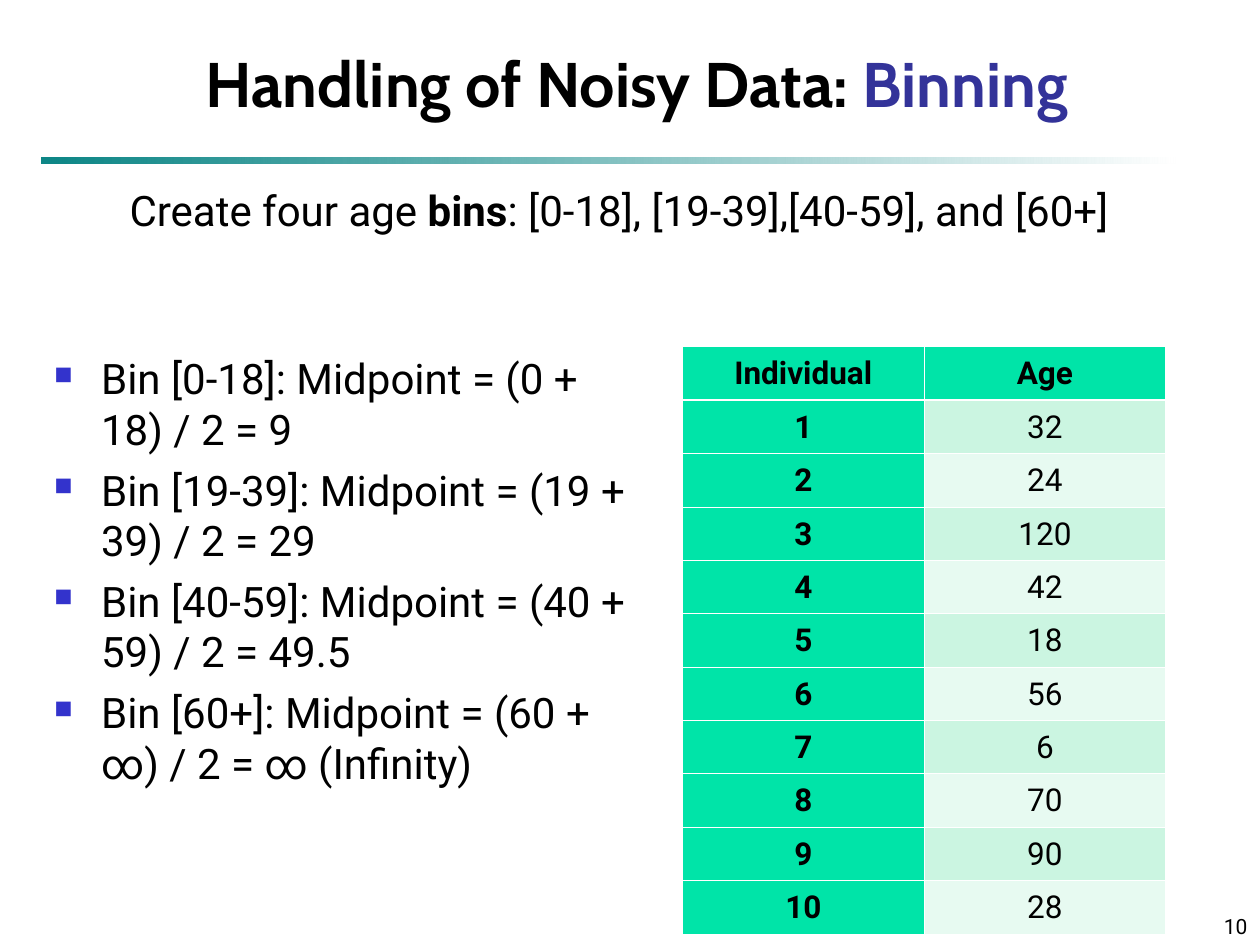
from lxml import etree
from pptx import Presentation
from pptx.dml.color import RGBColor
from pptx.enum.shapes import MSO_SHAPE
from pptx.enum.text import MSO_ANCHOR, MSO_AUTO_SIZE, PP_ALIGN
from pptx.oxml.ns import qn
from pptx.util import Cm, Pt

RECTANGLE = MSO_SHAPE.RECTANGLE
TOP, BOTTOM = MSO_ANCHOR.TOP, MSO_ANCHOR.BOTTOM
LEFT, CENTER, RIGHT = PP_ALIGN.LEFT, PP_ALIGN.CENTER, PP_ALIGN.RIGHT
NO_AUTOFIT = MSO_AUTO_SIZE.NONE

TITLE_FONT, BODY_FONT = "Cabin", "Roboto"
BLACK, WHITE, TEAL = "000000", "FFFFFF", "008080"
TITLE_BLUE, BULLET_BLUE = "333399", "3333CC"
KEY_GREEN, ROW_GREENS = "00E4A8", ("CBF5E1", "E7FAF1")

MIDPOINTS = [
    "Bin [0-18]: Midpoint = (0 + 18) / 2 = 9",
    "Bin [19-39]: Midpoint = (19 + 39) / 2 = 29",
    "Bin [40-59]: Midpoint = (40 + 59) / 2 = 49.5",
    "Bin [60+]: Midpoint = (60 + ∞) / 2 = ∞ (Infinity)",
]
AGES = [32, 24, 120, 42, 18, 56, 6, 70, 90, 28]


def rgb(value):
    return RGBColor.from_string(value)


def add_run(paragraph, text, size, bold=False, color=BLACK, font=BODY_FONT):
    run = paragraph.add_run()
    run.text = text
    run.font.name = font
    run.font.size = Pt(size)
    run.font.bold = bold
    run.font.color.rgb = rgb(color)


def add_text_box(slide, left, top, width, height, align=LEFT, anchor=TOP):
    """Add an empty wrapping text box and return its text frame."""
    box = slide.shapes.add_textbox(Cm(left), Cm(top), Cm(width), Cm(height))
    text_frame = box.text_frame
    text_frame.word_wrap = True
    text_frame.vertical_anchor = anchor
    text_frame.paragraphs[0].alignment = align
    return text_frame


def format_title(slide):
    title = slide.shapes.title
    title.left, title.top, title.width, title.height = Cm(0.89), Cm(0.84), Cm(23.88), Cm(1.7)
    text_frame = title.text_frame
    text_frame.auto_size = NO_AUTOFIT
    text_frame.vertical_anchor = BOTTOM
    paragraph = text_frame.paragraphs[0]
    paragraph.alignment = CENTER
    add_run(paragraph, "Handling of Noisy Data: ", 36, True, font=TITLE_FONT)
    add_run(paragraph, "Binning", 36, True, TITLE_BLUE, TITLE_FONT)


def add_fading_rule(slide):
    rule = slide.shapes.add_shape(RECTANGLE, Cm(0.84), Cm(3.17), Cm(22.86), Cm(0.13))
    rule.shadow.inherit = False
    rule.line.fill.background()
    rule.fill.gradient()
    rule.fill.gradient_angle = 0
    for stop, color in zip(rule.fill.gradient_stops, (TEAL, WHITE)):
        stop.color.rgb = rgb(color)
    first_color = rule._element.spPr.find(".//" + qn("a:srgbClr"))
    etree.SubElement(first_color, qn("a:alpha"), val="95000")


def set_bullet(paragraph):
    """Hang the paragraph behind a small coloured square."""
    properties = paragraph._p.get_or_add_pPr()
    properties.set("marL", str(Cm(0.95)))
    properties.set("indent", str(-Cm(0.95)))
    color = etree.SubElement(properties, qn("a:buClr"))
    etree.SubElement(color, qn("a:srgbClr"), val=BULLET_BLUE)
    etree.SubElement(properties, qn("a:buSzPct"), val="60000")
    etree.SubElement(properties, qn("a:buChar"), char="■")


def add_bullets(slide, items):
    text_frame = add_text_box(slide, 0.84, 6.99, 12.5, 10.48)
    for index, item in enumerate(items):
        paragraph = text_frame.add_paragraph() if index else text_frame.paragraphs[0]
        paragraph.space_before = Pt(6)
        set_bullet(paragraph)
        add_run(paragraph, item, 24)


def set_borders(cell, top_width, bottom_width):
    widths = {"a:lnL": 0.45, "a:lnR": 0.45, "a:lnT": top_width, "a:lnB": bottom_width}
    properties = cell._tc.get_or_add_tcPr()
    for tag, width in widths.items():
        line = etree.SubElement(properties, qn(tag), w=str(Pt(width)))
        fill = etree.SubElement(line, qn("a:solidFill"))
        etree.SubElement(fill, qn("a:srgbClr"), val=WHITE)


def format_cell(cell, text, bold, fill):
    cell.margin_left = cell.margin_right = Cm(0.18)
    cell.margin_top = cell.margin_bottom = Cm(0.13)
    cell.fill.solid()
    cell.fill.fore_color.rgb = rgb(fill)
    paragraph = cell.text_frame.paragraphs[0]
    paragraph.alignment = CENTER
    paragraph.line_spacing = 1.07
    add_run(paragraph, text, 18, bold)


def add_age_table(slide, ages):
    rows = [("Individual", "Age"), *enumerate(ages, start=1)]
    row_height = 0.91
    frame = slide.shapes.add_table(len(rows), 2, Cm(13.76), Cm(6.99),
                                   Cm(9.74), Cm(row_height * len(rows)))
    for row_index, values in enumerate(rows):
        for column_index, value in enumerate(values):
            cell = frame.table.cell(row_index, column_index)
            is_key = row_index == 0 or column_index == 0
            set_borders(cell, 1.47 if row_index == 1 else 0.45,
                        1.47 if row_index == 0 else 0.45)
            fill = KEY_GREEN if is_key else ROW_GREENS[(row_index - 1) % 2]
            format_cell(cell, str(value), is_key, fill)


def main():
    presentation = Presentation()
    presentation.slide_width, presentation.slide_height = Cm(25.4), Cm(19.05)
    slide = presentation.slides.add_slide(presentation.slide_layouts[5])

    # Heading
    add_fading_rule(slide)
    format_title(slide)

    # Page number
    page_number = add_text_box(slide, 20.12, 17.98, 5.28, 1.07, RIGHT, BOTTOM)
    add_run(page_number.paragraphs[0], "10", 12)

    # Midpoints beside the data
    add_bullets(slide, MIDPOINTS)
    add_age_table(slide, AGES)

    # Bin definition
    definition = add_text_box(slide, 0.84, 3.6, 23.28, 1.27, CENTER).paragraphs[0]
    add_run(definition, "Create four age ", 24)
    add_run(definition, "bins", 24, True)
    add_run(definition, ": [0-18], [19-39],[40-59], and [60+]", 24)

    presentation.save("out.pptx")


if __name__ == "__main__":
    main()
